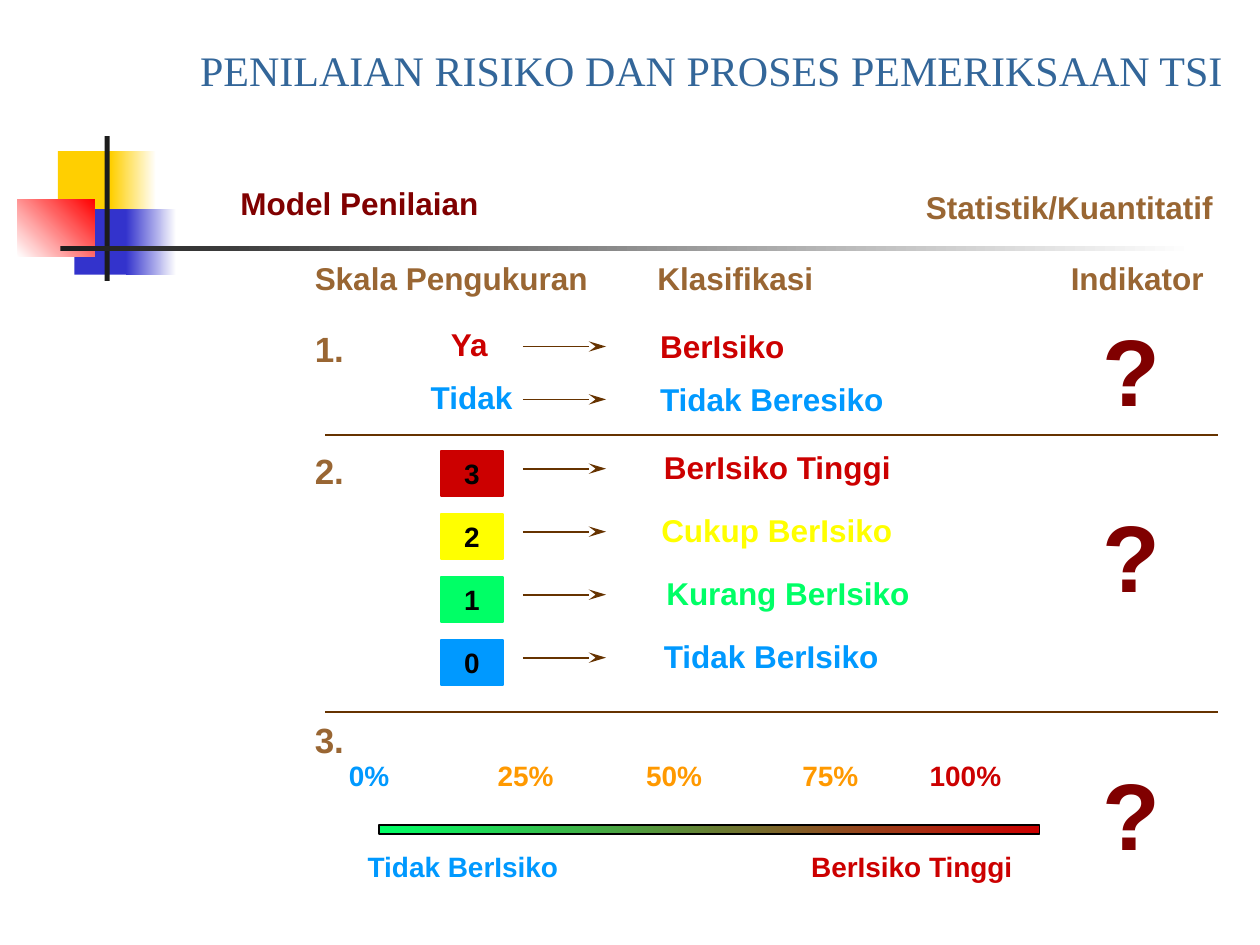
from lxml import etree
from pptx import Presentation
from pptx.dml.color import RGBColor
from pptx.enum.shapes import MSO_CONNECTOR, MSO_SHAPE
from pptx.enum.text import MSO_ANCHOR, MSO_AUTO_SIZE, PP_ALIGN
from pptx.oxml.ns import qn
from pptx.util import Inches, Pt

RECTANGLE = MSO_SHAPE.RECTANGLE
STRAIGHT = MSO_CONNECTOR.STRAIGHT
GROW, FIXED = MSO_AUTO_SIZE.SHAPE_TO_FIT_TEXT, MSO_AUTO_SIZE.NONE

COLORS = {
    "title": "336699", "maroon": "800000", "tan": "996633", "brown": "663300",
    "red": "CC0000", "yellow": "FFFF00", "green": "00FF66", "blue": "0099FF",
    "orange": "FF9900", "black": "000000", "white": "FFFFFF", "ink": "1C1C1C",
    "gold": "FFCF01", "indigo": "3333CC", "bright red": "FF0000",
}

# Columns and rows of the layout, in inches
COLUMN = {"number": 2.4, "level": 3.5, "arrow": 4.15, "class": 5.14, "mark": 8.65}
ROW = {"answers": 2.53, "levels": 3.51, "scale": 5.97}
ANSWER_STEP, LEVEL_STEP = 0.42, 0.5
ARROW_LENGTH = 0.66
RULE_LEFT, RULE_RIGHT = 2.58, 9.67

# left, top, width, height, fill colours, gradient angle
ORNAMENT = [
    (0.46, 1.2, 0.48, 0.52, ["gold"], 0),
    (0.88, 1.2, 0.36, 0.52, ["gold", "white"], 0),
    (0.59, 1.66, 0.46, 0.52, ["indigo"], 0),
    (1.0, 1.66, 0.4, 0.52, ["indigo", "white"], 0),
    (0.14, 1.58, 0.61, 0.46, ["white", "bright red"], 45),
    (0.83, 1.08, 0.04, 1.15, ["ink"], 0),
    (0.48, 1.95, 9, 0.04, ["ink", "white"], 0),
]
TITLE = "PENILAIAN RISIKO DAN PROSES PEMERIKSAAN TSI"
# text, colour, left, top, width
HEADINGS = [
    ("Model Penilaian", "maroon", 1.81, 1.41, 2.09),
    ("Statistik/Kuantitatif", "tan", 7.25, 1.44, 2.48),
]
COLUMN_HEADS = ["Skala Pengukuran", "Klasifikasi", "Indikator"]
COLUMN_TABS = [2.72, 6.0]
SECTIONS = [("1.", 2.55, 2.43), ("2.", 3.52, 3.9), ("3.", 5.65, 5.95)]
# answer, left, width, class, class width, colour
ANSWERS = [
    ("Ya", 3.48, 0.51, "BerIsiko", 1.19, "red"),
    ("Tidak", 3.32, 0.86, "Tidak Beresiko", 1.98, "blue"),
]
# level, class, class left, class width, colour
LEVELS = [
    ("3", "BerIsiko Tinggi", 5.17, 2.01, "red"),
    ("2", "Cukup BerIsiko", 5.15, 2.04, "yellow"),
    ("1", "Kurang BerIsiko", 5.19, 2.13, "green"),
    ("0", "Tidak BerIsiko", 5.17, 1.91, "blue"),
]
SCALE = [("0%", "blue"), ("25%", "orange"), ("50%", "orange"),
         ("75%", "orange"), ("100%", "red")]
SCALE_TABS = [1.18, 2.36, 3.6, 4.61]
SCALE_ENDS = [("Tidak BerIsiko", "blue", 2.82, 1.72),
              ("BerIsiko Tinggi", "red", 6.34, 1.8)]
RULES = [3.45, 5.65]


def rgb(name):
    return RGBColor.from_string(COLORS[name])


def style(run, color, size, font="Arial", bold=True):
    run.font.name, run.font.size, run.font.bold = font, Pt(size), bold
    run.font.color.rgb = rgb(color)


def add_text(slide, box, parts, size=18, tabs=(), font="Arial", bold=True, fit=GROW):
    """Add one line of (text, colour) parts, separated by tab stops."""
    shape = slide.shapes.add_textbox(*map(Inches, box))
    frame = shape.text_frame
    frame.word_wrap = False
    frame.auto_size = fit
    paragraph = frame.paragraphs[0]
    if tabs:
        tab_list = etree.SubElement(paragraph._p.get_or_add_pPr(), qn("a:tabLst"))
        for stop in tabs:
            etree.SubElement(tab_list, qn("a:tab"), pos=str(Inches(stop)), algn="l")
    for index, (text, color) in enumerate(parts):
        run = paragraph.add_run()
        run.text = "\t" + text if index else text
        style(run, color, size, font, bold)


def add_box(slide, box, fills, angle=0, line=None):
    """Add a rectangle with one fill colour, or a gradient of two."""
    shape = slide.shapes.add_shape(RECTANGLE, *map(Inches, box))
    shape.shadow.inherit = False
    if len(fills) == 1:
        shape.fill.solid()
        shape.fill.fore_color.rgb = rgb(fills[0])
    else:
        shape.fill.gradient()
        shape.fill.gradient_angle = angle
        for stop, color in zip(shape.fill.gradient_stops, fills):
            stop.color.rgb = rgb(color)
    if line:
        shape.line.color.rgb = rgb(line)
        shape.line.width = Pt(1)
    else:
        shape.line.fill.background()
    return shape


def add_line(slide, left, right, y, arrow=False):
    line = slide.shapes.add_connector(STRAIGHT, *map(Inches, (left, y, right, y)))
    line.line.color.rgb = rgb("brown")
    line.line.width = Pt(1)
    if arrow:
        etree.SubElement(line.line._get_or_add_ln(), qn("a:tailEnd"),
                         type="stealth", w="med", len="lg")
    etree.SubElement(line._element.spPr, qn("a:effectLst"))


def add_arrow(slide, y):
    add_line(slide, COLUMN["arrow"], COLUMN["arrow"] + ARROW_LENGTH, y, arrow=True)


def add_header(slide):
    for *box, fills, angle in ORNAMENT:
        add_box(slide, box, fills, angle)
    add_text(slide, (1.49, 0.3, 8.32, 0.45), [(TITLE, "title")], 24,
             font="Times New Roman", bold=False, fit=FIXED)
    for text, color, left, top, width in HEADINGS:
        add_text(slide, (left, top, width, 0.4), [(text, color)])
    add_text(slide, (COLUMN["number"], 2.01, 7.26, 0.4),
             [(head, "tan") for head in COLUMN_HEADS], tabs=COLUMN_TABS)


def add_answers(slide):
    for index, (answer, left, width, label, label_width, color) in enumerate(ANSWERS):
        top = ROW["answers"] + index * ANSWER_STEP
        add_text(slide, (left, top, width, 0.4), [(answer, color)])
        add_arrow(slide, top + 0.22)
        add_text(slide, (COLUMN["class"], top + 0.02, label_width, 0.4), [(label, color)])


def add_levels(slide):
    for index, (level, label, left, width, color) in enumerate(LEVELS):
        top = ROW["levels"] + index * LEVEL_STEP
        box = (COLUMN["level"], top + 0.07, 0.49, 0.36)
        shape = add_box(slide, box, [color], line=color)
        frame = shape.text_frame
        frame.text = level
        frame.word_wrap = False
        frame.vertical_anchor = MSO_ANCHOR.MIDDLE
        frame.paragraphs[0].alignment = PP_ALIGN.CENTER
        style(frame.paragraphs[0].runs[0], "black", 16)
        add_arrow(slide, top + 0.21)
        add_text(slide, (left, top, width, 0.4), [(label, color)])


def add_scale(slide):
    top = ROW["scale"]
    add_text(slide, (2.67, top, 5.38, 0.37), SCALE, 16, tabs=SCALE_TABS)
    add_box(slide, (3.01, top + 0.58, 5.24, 0.07), ["green", "red"], line="black")
    for text, color, left, width in SCALE_ENDS:
        add_text(slide, (left, top + 0.72, width, 0.37), [(text, color)], 16)


def main():
    presentation = Presentation()
    presentation.slide_width, presentation.slide_height = Inches(10), Inches(7.5)
    slide = presentation.slides.add_slide(presentation.slide_layouts[6])
    add_header(slide)
    add_answers(slide)
    add_levels(slide)
    add_scale(slide)
    for y in RULES:
        add_line(slide, RULE_LEFT, RULE_RIGHT, y)
    for number, number_top, mark_top in SECTIONS:
        add_text(slide, (COLUMN["number"], number_top, 0.43, 0.43), [(number, "tan")], 20)
        add_text(slide, (COLUMN["mark"], mark_top, 0.66, 1), [("?", "maroon")], 54)
    presentation.save("out.pptx")


if __name__ == "__main__":
    main()
